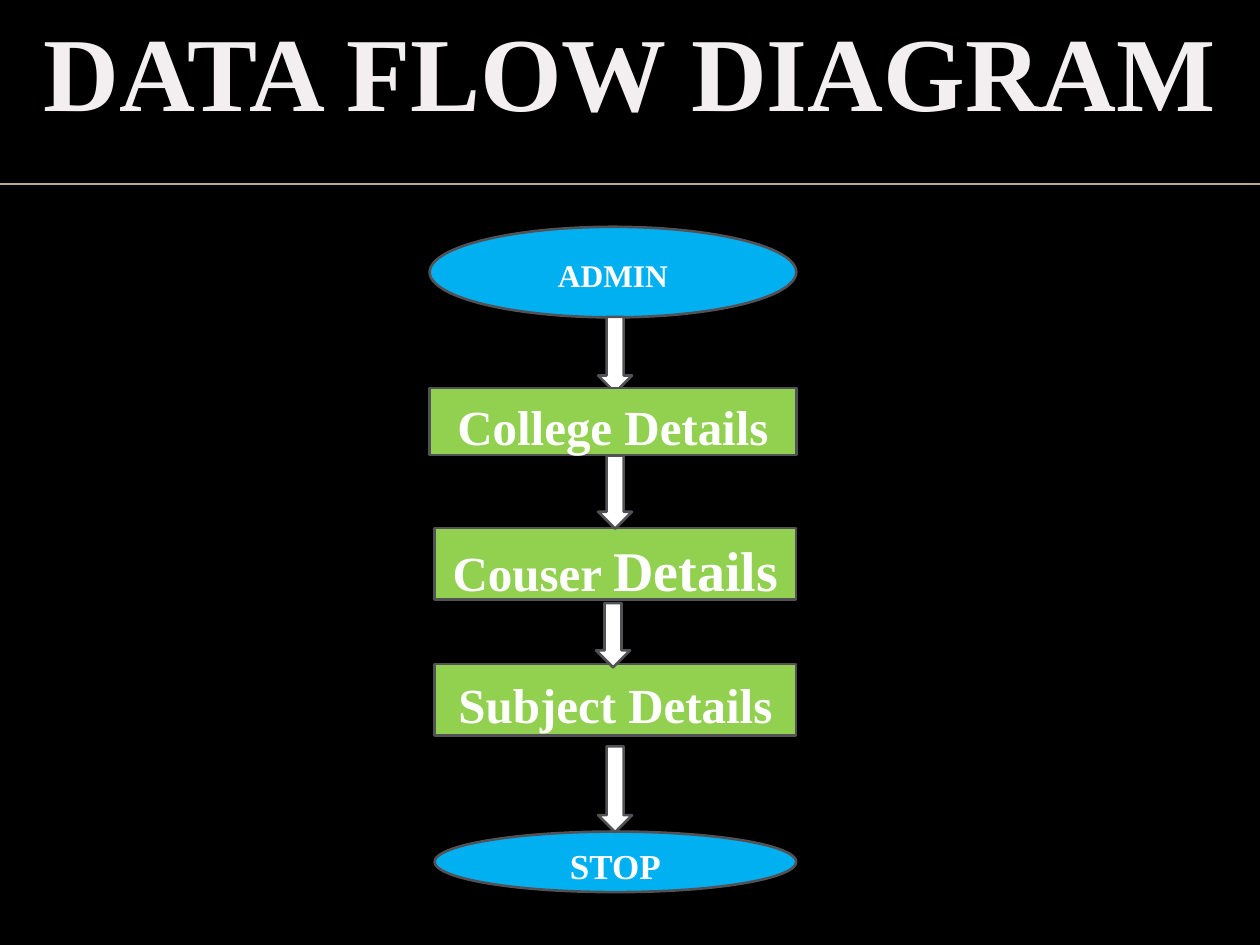
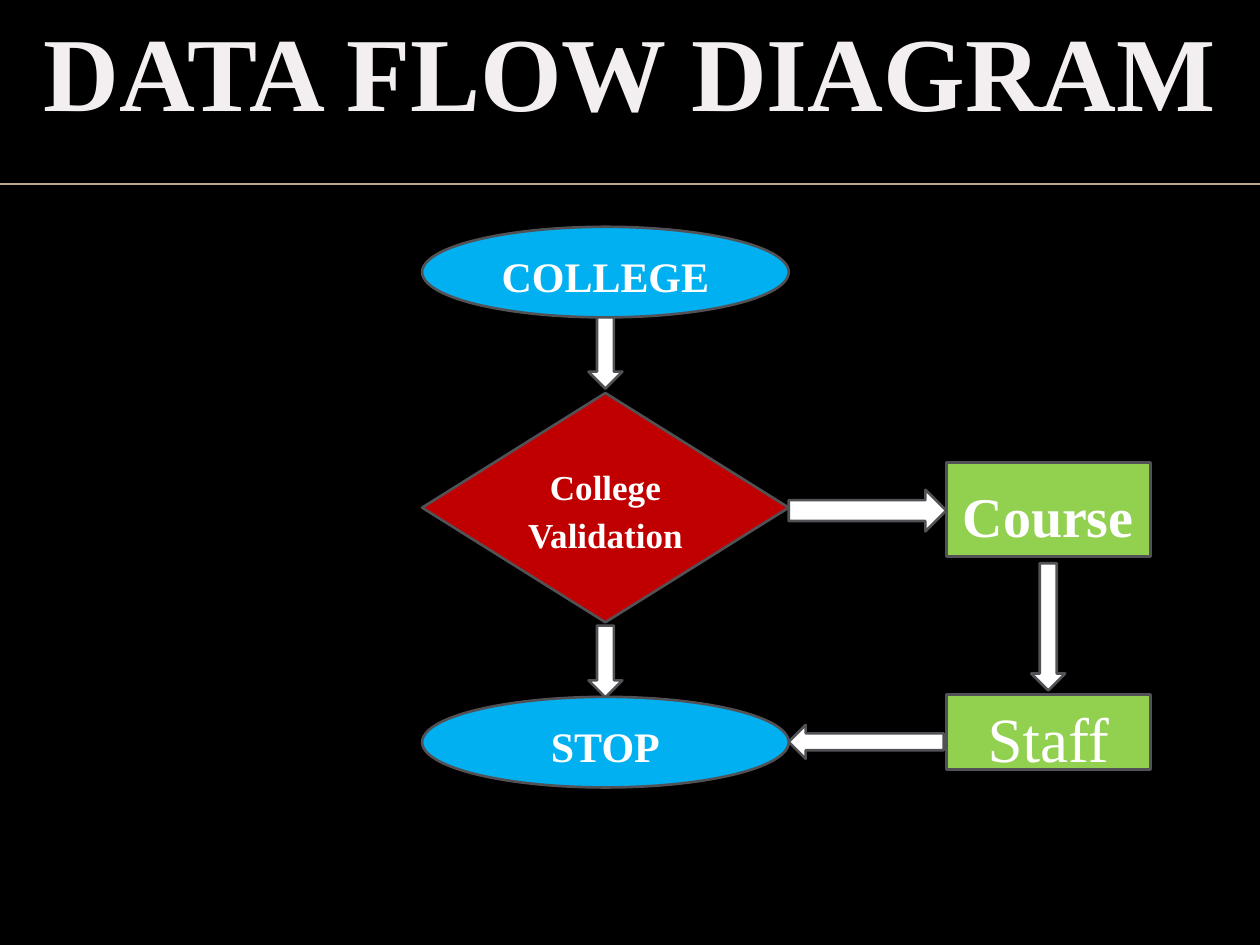
from dataclasses import dataclass

from lxml import etree
from pptx import Presentation
from pptx.dml.color import RGBColor
from pptx.enum.shapes import MSO_CONNECTOR, MSO_SHAPE
from pptx.enum.text import MSO_ANCHOR, PP_ALIGN
from pptx.oxml.ns import qn
from pptx.util import Pt

ELLIPSE = MSO_SHAPE.OVAL
RECTANGLE = MSO_SHAPE.RECTANGLE
DIAMOND = MSO_SHAPE.DIAMOND
ARROW = MSO_SHAPE.RIGHT_ARROW
STRAIGHT = MSO_CONNECTOR.STRAIGHT
CENTER = PP_ALIGN.CENTER
MIDDLE = MSO_ANCHOR.MIDDLE
RIGHT, DOWN, LEFT = 0, 90, 180


@dataclass(frozen=True)
class Theme:
    font: str = "Times New Roman"
    background: RGBColor = RGBColor(0x00, 0x00, 0x00)
    title: RGBColor = RGBColor(0xF3, 0xEF, 0xF0)
    rule: RGBColor = RGBColor(0xBB, 0xAA, 0x8A)
    white: RGBColor = RGBColor(0xFF, 0xFF, 0xFF)
    outline: RGBColor = RGBColor(0x52, 0x52, 0x56)
    terminal: RGBColor = RGBColor(0x00, 0xB0, 0xF0)
    process: RGBColor = RGBColor(0x92, 0xD0, 0x50)
    decision: RGBColor = RGBColor(0xC0, 0x00, 0x00)
    title_size: int = 60
    huge: int = 36
    large: int = 32
    medium: int = 28
    label: int = 24
    small: int = 20
    tiny: int = 18


theme = Theme()
node_fills = {ELLIPSE: theme.terminal, RECTANGLE: theme.process, DIAMOND: theme.decision}


def add_node(slide, kind, left, top, width, height, runs, bold=True):
    shape = slide.shapes.add_shape(kind, Pt(left), Pt(top), Pt(width), Pt(height))
    shape.shadow.inherit = False
    shape.fill.solid()
    shape.fill.fore_color.rgb = node_fills[kind]
    shape.line.color.rgb = theme.outline
    shape.line.width = Pt(1.5)
    shape.text_frame.word_wrap = True
    shape.text_frame.vertical_anchor = MIDDLE
    paragraph = shape.text_frame.paragraphs[0]
    paragraph.alignment = CENTER
    paragraph.line_spacing = 1.15
    paragraph.space_after = Pt(10)
    paragraph.font.name = theme.font
    paragraph.font.bold = bold
    paragraph.font.color.rgb = theme.white
    paragraph.font.size = Pt(runs[0][1])
    for text, size in runs:
        run = paragraph.add_run()
        run.text = text
        if size != runs[0][1]:
            run.font.size = Pt(size)


def add_arrow(slide, center_x, center_y, length, direction=DOWN, thickness=19.4):
    shape = slide.shapes.add_shape(
        ARROW, Pt(center_x - length / 2), Pt(center_y - thickness / 2), Pt(length), Pt(thickness))
    shape.rotation = direction
    shape.shadow.inherit = False
    shape.fill.solid()
    shape.fill.fore_color.rgb = theme.white
    shape.line.color.rgb = theme.outline
    shape.line.width = Pt(1.5)


presentation = Presentation()
presentation.slide_width = Pt(720)
presentation.slide_height = Pt(540)
background = presentation.slide_master.background.fill
background.solid()
background.fore_color.rgb = theme.background

slides = []
for _ in range(2):
    slide = presentation.slides.add_slide(presentation.slide_layouts[6])
    rule = slide.shapes.add_connector(STRAIGHT, Pt(0), Pt(105), Pt(720), Pt(105))
    rule.line.color.rgb = theme.rule
    rule.line.width = Pt(1)
    etree.SubElement(rule.element.spPr, qn("a:effectLst"))
    title = slide.shapes.add_textbox(Pt(0), Pt(0), Pt(720), Pt(80))
    title.text_frame.word_wrap = True
    paragraph = title.text_frame.paragraphs[0]
    paragraph.text = "DATA FLOW DIAGRAM"
    paragraph.alignment = CENTER
    paragraph.font.name = theme.font
    paragraph.font.size = Pt(theme.title_size)
    paragraph.font.bold = True
    paragraph.font.color.rgb = theme.title
    slides.append(slide)

admin_slide, college_slide = slides

add_node(admin_slide, ELLIPSE, 245.5, 129.6, 209.5, 51.8, [("ADMIN", theme.tiny)])
add_arrow(admin_slide, 351.5, 202.7, 43.2)
add_node(admin_slide, RECTANGLE, 245.5, 221.8, 209.5, 38.2, [("College Details", theme.medium)])
detail_boxes = [
    (301.7, [("Couser ", theme.medium), ("Details", theme.large)]),
    (379.4, [("Subject Details", theme.medium)]),
]
for top, runs in detail_boxes:
    add_node(admin_slide, RECTANGLE, 248.4, top, 206.6, 41, runs)
for center_x, center_y, length in [(351.5, 281.2, 41.8), (350.3, 363, 36.7)]:
    add_arrow(admin_slide, center_x, center_y, length)
add_node(admin_slide, ELLIPSE, 248.4, 475.2, 206.6, 34.6, [("STOP", theme.small)])
add_arrow(admin_slide, 351.5, 451, 49)

flow_left, flow_width = 241.2, 209.5
flow_center = flow_left + flow_width / 2
branch_left, branch_width = 540.7, 116.6
branch_center = branch_left + branch_width / 2

add_node(college_slide, DIAMOND, flow_left, 224.6, flow_width, 131,
         [("College Validation", theme.small)])
for center_y in (201.6, 378):
    add_arrow(college_slide, flow_center, center_y, 41)
add_arrow(college_slide, 495.7, 291.8, 90, RIGHT, 23.8)
add_node(college_slide, RECTANGLE, branch_left, 264.2, branch_width, 54, [("Course", theme.large)])
add_arrow(college_slide, branch_center, 358.2, 72.7)
add_node(college_slide, RECTANGLE, branch_left, 396.7, branch_width, 43.2,
         [("Staff", theme.huge)], bold=False)
add_arrow(college_slide, 495, 423.9, 88.6, LEFT)
for text, top in [("COLLEGE", 129.6), ("STOP", 398.2)]:
    add_node(college_slide, ELLIPSE, flow_left, top, flow_width, 51.8, [(text, theme.label)])

presentation.save("out.pptx")
